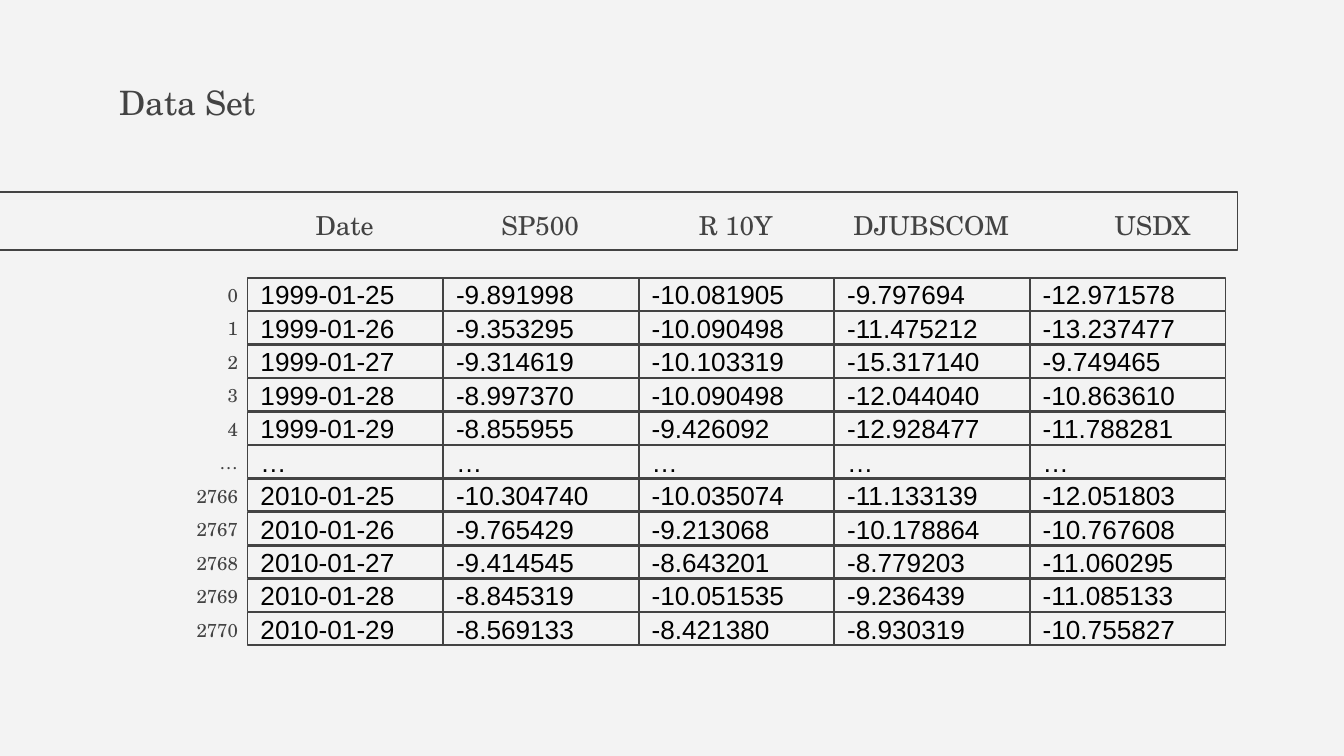
from pptx import Presentation
from pptx.dml.color import RGBColor as RGB
from pptx.enum.shapes import MSO_SHAPE as SHAPE
from pptx.enum.text import MSO_ANCHOR as ANCHOR, MSO_AUTO_SIZE as FIT, PP_ALIGN as ALIGN
from pptx.util import Inches, Pt

COLORS = {"paper": "F3F3F3", "ink": "434343", "value": "000000"}
SERIF, SANS = "TeX Gyre Schola", "Arial"

# Grid, in inches
LEFT, TOP = 1.84, 2.07
COL, ROW = (7.66 - LEFT) / 4, (4.56 - TOP) / 10
CELL_W, CELL_H = 1.46, 0.24
HEAD_W, LABEL_W = 1.51, 1.22

HEADERS = ["Date", "SP500", "R 10Y", "DJUBSCOM", "USDX"]
ROWS = [
    ("0", "1999-01-25", "-9.891998", "-10.081905", "-9.797694", "-12.971578"),
    ("1", "1999-01-26", "-9.353295", "-10.090498", "-11.475212", "-13.237477"),
    ("2", "1999-01-27", "-9.314619", "-10.103319", "-15.317140", "-9.749465"),
    ("3", "1999-01-28", "-8.997370", "-10.090498", "-12.044040", "-10.863610"),
    ("4", "1999-01-29", "-8.855955", "-9.426092", "-12.928477", "-11.788281"),
    ("…", "…", "…", "…", "…", "…"),
    ("2766", "2010-01-25", "-10.304740", "-10.035074", "-11.133139", "-12.051803"),
    ("2767", "2010-01-26", "-9.765429", "-9.213068", "-10.178864", "-10.767608"),
    ("2768", "2010-01-27", "-9.414545", "-8.643201", "-8.779203", "-11.060295"),
    ("2769", "2010-01-28", "-8.845319", "-10.051535", "-9.236439", "-11.085133"),
    ("2770", "2010-01-29", "-8.569133", "-8.421380", "-8.930319", "-10.755827"),
]


def write(sp, text, size, font=SERIF, color="ink", align=ALIGN.LEFT,
          anchor=ANCHOR.TOP, insets=(0, 0.01, 0, 0)):
    tf = sp.text_frame
    tf.word_wrap, tf.auto_size, tf.vertical_anchor = True, FIT.NONE, anchor
    tf.margin_left, tf.margin_top, tf.margin_right, tf.margin_bottom = map(Inches, insets)
    p = tf.paragraphs[0]
    p.text, p.alignment = text, align
    p.font.name, p.font.size = font, Pt(size)
    p.font.color.rgb = RGB.from_string(COLORS[color])


def outline(x, y, w, h):
    sp = s.shapes.add_shape(SHAPE.RECTANGLE, *map(Inches, (x, y, w, h)))
    sp.shadow.inherit = False
    sp.fill.background()
    sp.line.color.rgb = RGB.from_string(COLORS["ink"])
    sp.line.width = Pt(0.75)
    return sp


# Widescreen slide, 16 by 9
prs = Presentation()
prs.slide_width = Inches(10)
prs.slide_height = prs.slide_width * 9 // 16
s = prs.slides.add_slide(prs.slide_layouts[0])
s.background.fill.solid()
s.background.fill.fore_color.rgb = RGB.from_string(COLORS["paper"])

# Title; the subtitle stays unused
subtitle = s.placeholders[1].element
subtitle.getparent().remove(subtitle)
title = s.shapes.title
title.left, title.top, title.width, title.height = map(Inches, (0.79, 0.51, 1.64, 1.03))
write(title, "Data Set", 18, insets=[0.1] * 4)

# Header band, running in from the left edge
outline(-0.44, 1.43, 9.65, 0.43)
for col, header in enumerate(HEADERS):
    x = LEFT + col * COL - 0.03
    if header == "USDX":
        x += 0.19  # the last header sits further right
    box = s.shapes.add_textbox(*map(Inches, (x, 1.55, HEAD_W, 0.55)))
    write(box, header, 14, align=ALIGN.CENTER)

# Row labels and outlined values
for row, (label, *values) in enumerate(ROWS):
    y = TOP + row * ROW
    box = s.shapes.add_textbox(*map(Inches, (0.55, y, LABEL_W, CELL_H)))
    write(box, label, 10, align=ALIGN.RIGHT, anchor=ANCHOR.MIDDLE)
    for col, value in enumerate(values):
        cell = outline(LEFT + col * COL, y, CELL_W, CELL_H)
        write(cell, value, 14, SANS, "value", anchor=ANCHOR.MIDDLE, insets=[0.1] * 4)

prs.save("out.pptx")
